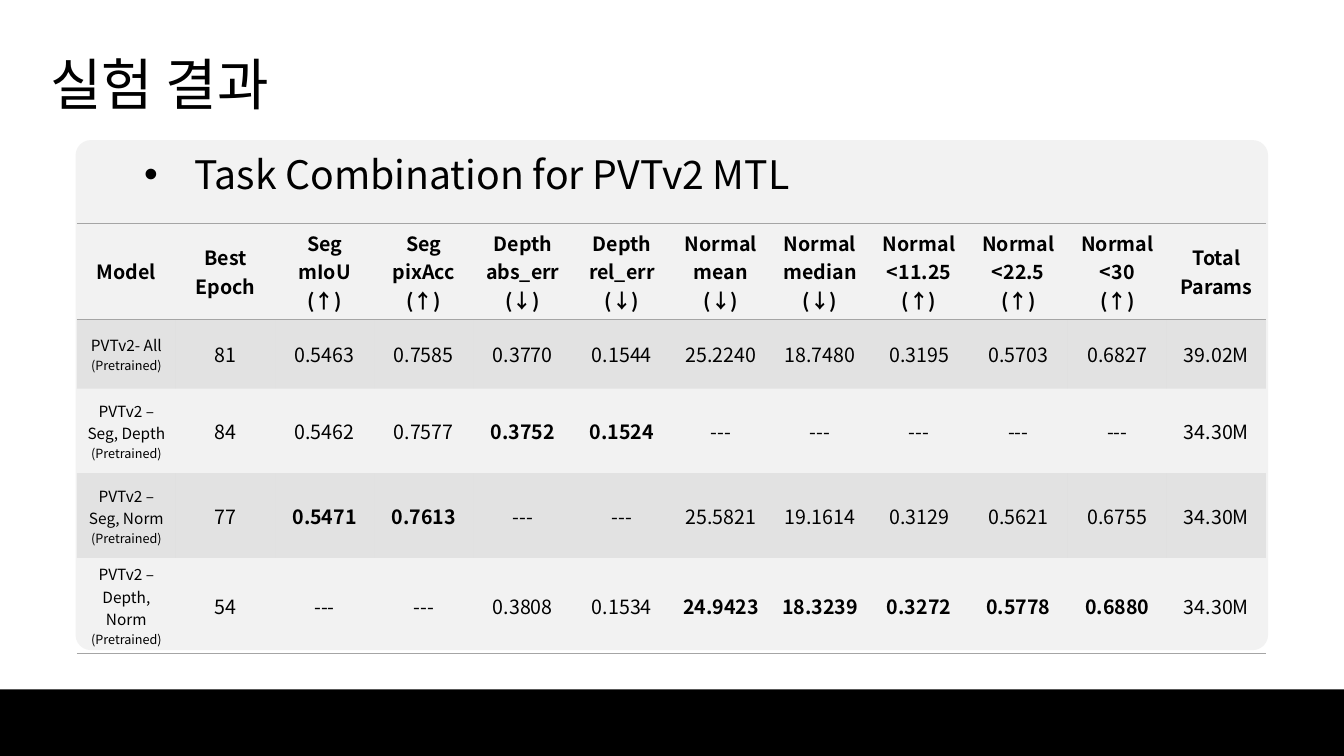
from copy import deepcopy
from dataclasses import dataclass

from lxml.etree import SubElement
from pptx import Presentation
from pptx.dml.color import RGBColor
from pptx.enum.shapes import MSO_SHAPE as Preset
from pptx.enum.text import MSO_ANCHOR as Anchor, MSO_AUTO_SIZE as Fit, PP_ALIGN as Align
from pptx.oxml.ns import qn
from pptx.util import Pt

FONT = "Noto Sans CJK KR"
BLACK = RGBColor(0x00, 0x00, 0x00)
PALE = RGBColor(0xF2, 0xF2, 0xF2)
GRAY = RGBColor(0xA5, 0xA5, 0xA5)
PLAIN = "{2D5ABB26-0587-4C30-8999-92F81FD0307C}"


@dataclass
class Block:
    kind: Preset
    left: float
    top: float
    width: float
    height: float
    color: RGBColor


@dataclass
class Result:
    model: str
    height: float
    values: str
    best: range
    shaded: bool


BLOCKS = [
    Block(Preset.ROUNDED_RECTANGLE, 54, 100.1, 851.8, 364.3, PALE),
    Block(Preset.RECTANGLE, 0, 492.5, 960, 47.5, BLACK),
]
HEADS = [
    "Model", "Best Epoch", "Seg\vmIoU (↑)", "Seg\vpixAcc (↑)",
    "Depth\vabs_err (↓)", "Depth\vrel_err (↓)",
    "Normal\vmean (↓)", "Normal\vmedian (↓)", "Normal\v<11.25 (↑)",
    "Normal\v<22.5 (↑)", "Normal\v<30\v(↑)", "Total Params",
]
RESULTS = [
    Result("PVTv2- All ", 49.5,
           "81 0.5463 0.7585 0.3770 0.1544 25.2240 18.7480 0.3195 0.5703 0.6827 39.02M",
           range(0), True),
    Result("PVTv2 – Seg, Depth\v", 60.5,
           "84 0.5462 0.7577 0.3752 0.1524 --- --- --- --- --- 34.30M",
           range(4, 6), False),
    Result("PVTv2 – Seg, Norm ", 60.5,
           "77 0.5471 0.7613 --- --- 25.5821 19.1614 0.3129 0.5621 0.6755 34.30M",
           range(2, 4), True),
    Result("PVTv2 – Depth, Norm ", 60.5,
           "54 --- --- 0.3808 0.1534 24.9423 18.3239 0.3272 0.5778 0.6880 34.30M",
           range(6, 11), False),
]


def style(run, size: float, bold: bool = False) -> None:
    font = run.font
    font.size, font.bold, font.name = Pt(size), bold, FONT
    font.color.rgb = BLACK
    SubElement(run._r.get_or_add_rPr(), qn("a:ea"), typeface=FONT)


def write(cell, text: str, size: float, bold: bool = False, note: str = "") -> None:
    cell.vertical_anchor = Anchor.MIDDLE
    para = cell.text_frame.paragraphs[0]
    para.text = text
    para.alignment = Align.CENTER
    for run in para.runs:
        style(run, size, bold)
    # Line breaks take the size of the text around them
    for gap in para._p.findall(qn("a:br")):
        gap.append(deepcopy(para.runs[0]._r.rPr))
    if note:
        run = para.add_run()
        run.text = note
        style(run, 9)


def tint(cell, shaded: bool) -> None:
    if not shaded:
        cell.fill.background()
        return
    cell.fill.solid()
    cell.fill.fore_color.rgb = GRAY
    color = cell._tc.tcPr.find(".//" + qn("a:srgbClr"))
    SubElement(color, qn("a:alpha"), val="20000")


def rule(cell, sides: str) -> None:
    props = cell._tc.get_or_add_tcPr()
    for spot, side in enumerate(sides):
        line = SubElement(props, qn(f"a:ln{side}"), w=str(Pt(1)))
        fill = SubElement(line, qn("a:solidFill"))
        SubElement(fill, qn("a:srgbClr"), val=str(GRAY))
        props.insert(spot, line)


def place(shape, left: float, top: float, width: float, height: float) -> None:
    shape.left, shape.top = Pt(left), Pt(top)
    shape.width, shape.height = Pt(width), Pt(height)
    shape.element.getparent().append(shape.element)


def fill_text(shape, text: str, size: float, anchor: Anchor):
    frame = shape.text_frame
    frame.text = text
    frame.word_wrap, frame.auto_size = True, Fit.NONE
    frame.vertical_anchor = anchor
    para = frame.paragraphs[0]
    para.alignment = Align.LEFT
    para.line_spacing, para.space_before = 0.9, Pt(0)
    style(para.runs[0], size)
    return para


def draw(slide, block: Block) -> None:
    shape = slide.shapes.add_shape(
        block.kind, Pt(block.left), Pt(block.top), Pt(block.width), Pt(block.height))
    shape.shadow.inherit = False
    shape.fill.solid()
    shape.fill.fore_color.rgb = block.color
    shape.line.fill.background()
    if block.kind == Preset.ROUNDED_RECTANGLE:
        shape.adjustments[0] = 0.03


def add_scores(slide) -> None:
    table = slide.shapes.add_table(
        len(RESULTS) + 1, len(HEADS), Pt(54.9), Pt(159.6), Pt(849.6), Pt(289.3)).table
    table.horz_banding = False
    table._tbl.tblPr.find(qn("a:tableStyleId")).text = PLAIN
    for col in table.columns:
        col.width = Pt(70.8)
    # Header row
    table.rows[0].height = Pt(58.3)
    for col, head in enumerate(HEADS):
        cell = table.cell(0, col)
        write(cell, head, 14, True)
        tint(cell, False)
        rule(cell, "TB")
    # Result rows
    for row, result in enumerate(RESULTS, 1):
        table.rows[row].height = Pt(result.height)
        write(table.cell(row, 0), result.model, 11, note="(Pretrained)")
        for col, value in enumerate(result.values.split(), 1):
            write(table.cell(row, col), value, 14, col in result.best)
        for cell in table.rows[row].cells:
            tint(cell, result.shaded)
            if row == len(RESULTS):
                rule(cell, "B")


def main() -> None:
    deck = Presentation()
    deck.slide_width, deck.slide_height = Pt(960), Pt(540)
    slide = deck.slides.add_slide(deck.slide_layouts[1])

    # Panel, bottom band and scores
    for block in BLOCKS:
        draw(slide, block)
    add_scores(slide)

    # Title and list
    title, body = slide.placeholders
    place(title, 28.8, 35.3, 828, 54.7)
    fill_text(title, "실험 결과", 40, Anchor.MIDDLE)
    place(body, 95.8, 107.3, 760.3, 342)
    item = fill_text(body, "Task Combination for PVTv2 MTL", 28, Anchor.TOP)
    props = item._p.get_or_add_pPr()
    props.set("marL", str(Pt(36)))
    props.set("indent", str(Pt(-36)))
    SubElement(props, qn("a:buFont"), typeface="Arial")
    SubElement(props, qn("a:buChar"), char="•")

    deck.save("out.pptx")


if __name__ == "__main__":
    main()
